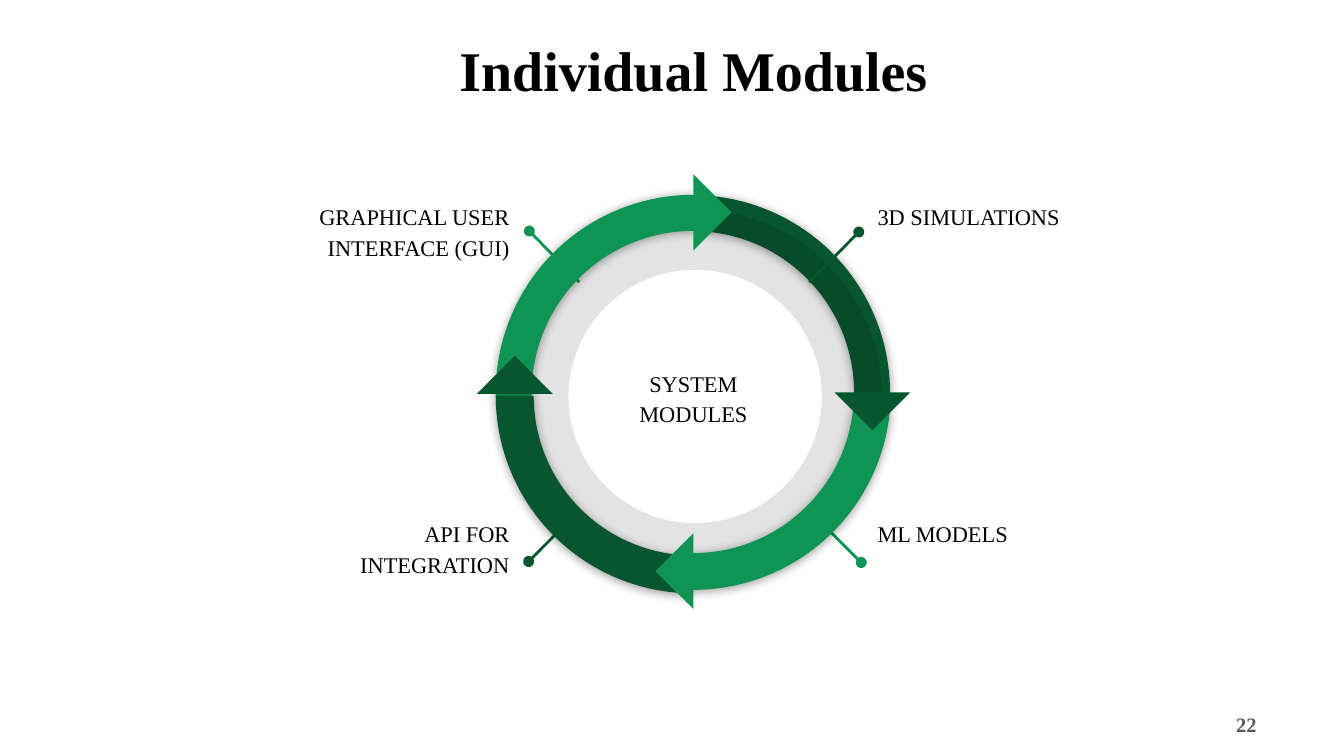
from lxml import etree
from pptx import Presentation
from pptx.dml.color import RGBColor
from pptx.enum.shapes import MSO_CONNECTOR, MSO_SHAPE
from pptx.enum.text import MSO_ANCHOR, PP_ALIGN
from pptx.oxml.ns import qn
from pptx.util import Pt

LEFT, CENTER, RIGHT = PP_ALIGN.LEFT, PP_ALIGN.CENTER, PP_ALIGN.RIGHT
TOP, MIDDLE = MSO_ANCHOR.TOP, MSO_ANCHOR.MIDDLE
BLOCK_ARC, DONUT = MSO_SHAPE.BLOCK_ARC, MSO_SHAPE.DONUT
TRIANGLE = MSO_SHAPE.RIGHT_TRIANGLE
STRAIGHT = MSO_CONNECTOR.STRAIGHT

COLORS = {"dark": "085630", "light": "0E9453", "black": "000000", "gray": "595959"}
RING = 211.6
ARROW = 28.8


class Deck:
    """Holds the style and the current slide; all lengths are in points."""

    font = "Times New Roman"

    def __init__(self, slide):
        self.shapes = slide.shapes

    def color(self, name):
        return RGBColor.from_string(COLORS[name])

    def text(self, box, words, size=12, align=LEFT, anchor=TOP, color="black",
             bold=False, spacing=1.15, margins=(7.2, 7.2)):
        s = self.shapes.add_textbox(*map(Pt, box))
        tf = s.text_frame
        tf.word_wrap = True
        tf.vertical_anchor = anchor
        tf.margin_left = tf.margin_right = Pt(margins[0])
        tf.margin_top = tf.margin_bottom = Pt(margins[1])
        p = tf.paragraphs[0]
        p.text = words
        p.alignment = align
        p.line_spacing = spacing
        p.font.name = self.font
        p.font.size = Pt(size)
        p.font.bold = bold
        p.font.color.rgb = self.color(color)

    def shape(self, kind, x, y, size, color, adjustments=(), rotation=0):
        s = self.shapes.add_shape(kind, Pt(x), Pt(y), Pt(size), Pt(size))
        s.shadow.inherit = False
        s.fill.solid()
        s.fill.fore_color.rgb = self.color(color)
        s.line.fill.background()
        s.rotation = rotation
        for i, value in enumerate(adjustments):
            s.adjustments[i] = value
        return s

    def arc(self, x, y, start, end, color, thickness=0.091):
        """Draw a ring segment clockwise between two angles in degrees."""
        # An angle is stored in 1/60000 degree, an adjustment in 1/100000.
        s = self.shape(BLOCK_ARC, x, y, RING, color,
                       (start * 0.6, end * 0.6, thickness))
        effects = s._element.spPr.find(qn("a:effectLst"))
        shadow = etree.SubElement(effects, qn("a:outerShdw"), blurRad=str(Pt(5.6)),
                                  dist=str(Pt(0.8)), dir="5400000", rotWithShape="0")
        rgb = etree.SubElement(shadow, qn("a:srgbClr"), val=COLORS["black"])
        etree.SubElement(rgb, qn("a:alpha"), val="40000")

    def disc(self, x, y, size, thickness, opacity):
        s = self.shape(DONUT, x, y, size, "black", (thickness,))
        rgb = s._element.spPr.find(qn("a:solidFill"))[0]
        etree.SubElement(rgb, qn("a:alpha"), val=str(opacity * 1000))

    def pointer(self, start, end, color):
        """Draw a line with a dot at its start."""
        s = self.shapes.add_connector(STRAIGHT, *map(Pt, start + end))
        s.line.width = Pt(1.5)
        s.line.color.rgb = self.color(color)
        etree.SubElement(s.line._get_or_add_ln(), qn("a:headEnd"), type="oval")
        etree.SubElement(s._element.spPr, qn("a:effectLst"))


def main():
    prs = Presentation()
    prs.slide_width, prs.slide_height = Pt(720), Pt(405)
    deck = Deck(prs.slides.add_slide(prs.slide_layouts[6]))

    deck.text((516.2, 377.3, 162, 21.6), "22", 11, RIGHT, MIDDLE, "gray", True, 1,
              (5, 2.9))
    deck.arc(265.2, 104.5, 272.4, 1.7, "dark")
    deck.disc(272.3, 112.3, 200.2, 0.161, 11)

    modules = [
        ("GRAPHICAL USER INTERFACE (GUI)", 162, 99.4, RIGHT,
         (283.6, 123.8), (310.3, 151.2), "light"),
        ("API FOR INTEGRATION", 162, 269.3, RIGHT,
         (283.2, 300.8), (310.3, 273.6), "dark"),
        ("ML MODELS", 463, 269.3, LEFT, (461.4, 301.4), (433.6, 273.6), "light"),
        ("3D SIMULATIONS", 463, 99.4, LEFT, (460.1, 124.3), (433.6, 151.2), "dark"),
    ]
    for words, x, y, align, start, end, color in modules:
        deck.pointer(start, end, color)
        deck.text((x, y, 118, 52.6), words, align=align)

    deck.text((314.6, 180.7, 113.8, 63.4), "SYSTEM MODULES", align=CENTER,
              anchor=MIDDLE)
    deck.arc(265.6, 104.4, 178.8, 270.9, "light")
    deck.arc(265.6, 106.3, 90.7, 180, "dark", 0.096)
    deck.arc(265.6, 104.4, 4.5, 90.5, "light", 0.093)

    arrows = [(261.4, 196.6, 135, "dark"), (453, 195.8, 315, "dark"),
              (357.1, 291.6, 45, "light"), (357.1, 99.4, 225, "light")]
    for x, y, rotation, color in arrows:
        deck.shape(TRIANGLE, x, y, ARROW, color, rotation=rotation)

    deck.text((61.2, 20.2, 620.6, 78.5), "Individual Modules", 30, CENTER, bold=True,
              spacing=0.9, margins=(5, 2.9))
    prs.save("out.pptx")


if __name__ == "__main__":
    main()
